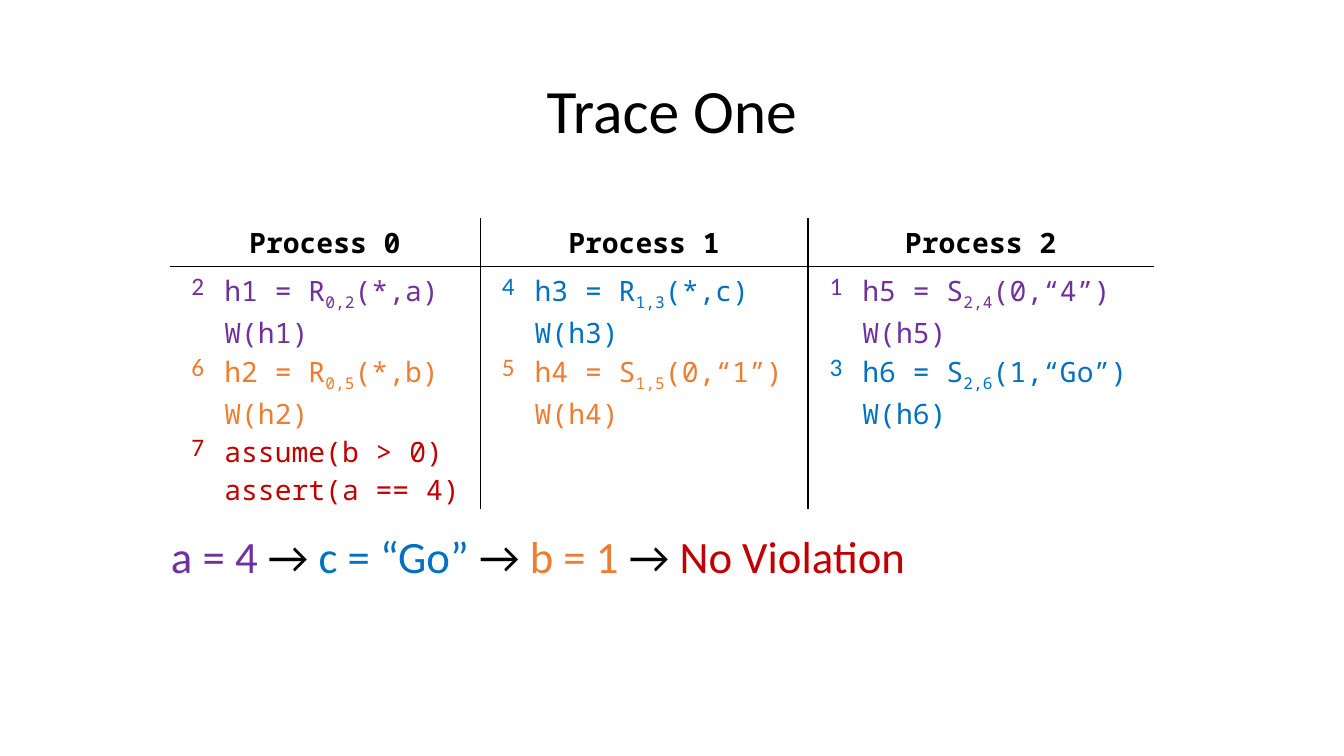
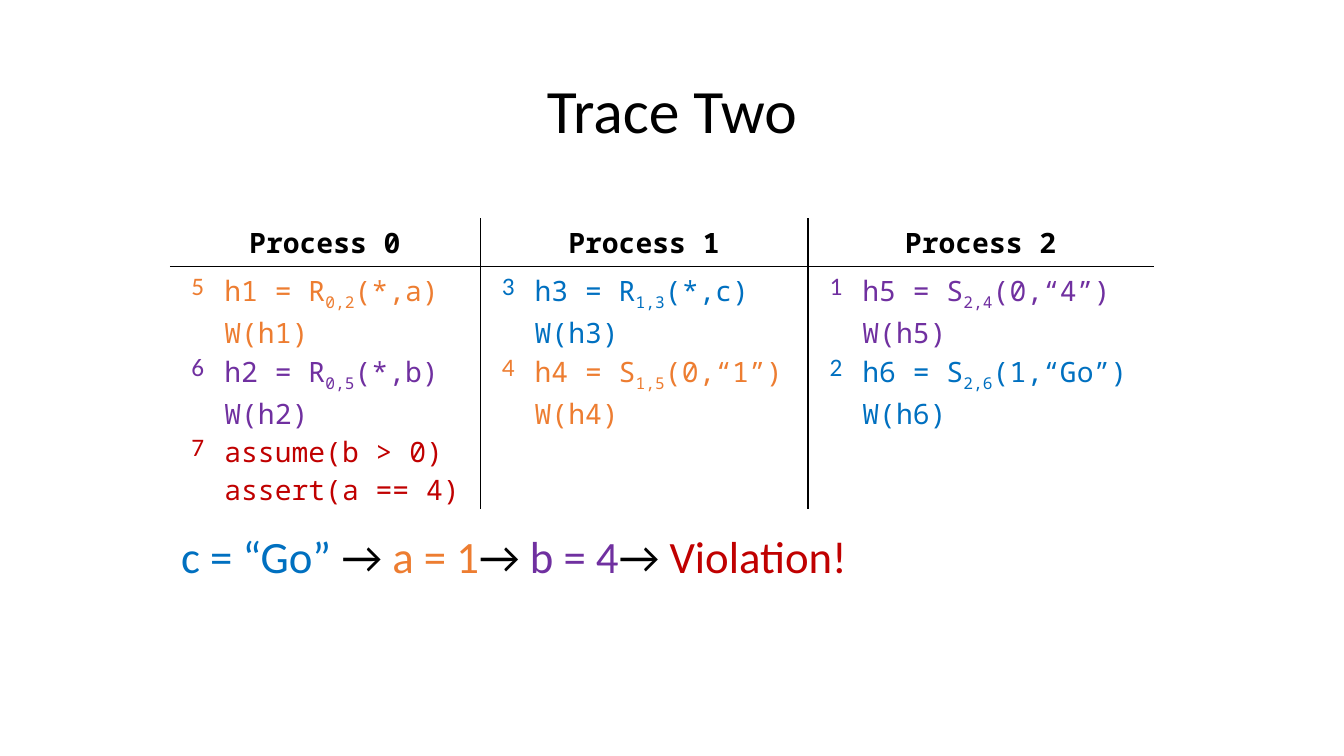
"""Builds two slides that compare message-passing traces of one program."""
from lxml.etree import SubElement
from pptx import Presentation
from pptx.dml.color import RGBColor
from pptx.enum.text import MSO_ANCHOR as Anchor, MSO_AUTO_SIZE as AutoSize, PP_ALIGN as Align
from pptx.oxml.ns import qn
from pptx.util import Cm, Pt

COLORS = {
    "black": "000000",
    "white": "FFFFFF",
    "purple": "7030A0",
    "blue": "0070C0",
    "orange": "ED7D31",
    "red": "C00000",
}
SANS, MONO = "Calibri", "Noto Sans Mono"
NO_STYLE = "{2D5ABB26-0587-4C30-8999-92F81FD0307C}"
BORDER_WIDTH = Pt(1)
INSET = 0.13

NUMBER_WIDTH = 1.12
CODE_WIDTHS = [6.7, 7.14, 7.59]
ROW_HEIGHTS = [1.22, 2.16, 2.01, 1.94]

PROGRAM = [
    [
        [["h1 = R", "0,2", "(*,a)"], ["W(h1)"]],
        [["h2 = R", "0,5", "(*,b)"], ["W(h2)"]],
        [["assume(b > 0)"], ["assert(a == 4)"]],
    ],
    [
        [["h3 = R", "1,3", "(*,c)"], ["W(h3)"]],
        [["h4 = S", "1,5", "(0,“1”)"], ["W(h4)"]],
    ],
    [
        [["h5 = S", "2,4", "(0,“4”)"], ["W(h5)"]],
        [["h6 = S", "2,6", "(1,“Go”)"], ["W(h6)"]],
    ],
]

TRACES = [
    {
        "title": "Trace One",
        "order": [
            [("2", "purple"), ("6", "orange"), ("7", "red")],
            [("4", "blue"), ("5", "orange")],
            [("1", "purple"), ("3", "blue")],
        ],
        "outcome": [
            ("a = 4", "purple"), (" → ", "black"), ("c = “Go”", "blue"), (" → ", "black"),
            ("b = 1", "orange"), (" → ", "black"), ("No Violation", "red"),
        ],
        "outcome_width": 19.74,
    },
    {
        "title": "Trace Two",
        "order": [
            [("5", "orange"), ("6", "purple"), ("7", "red")],
            [("3", "blue"), ("4", "orange")],
            [("1", "purple"), ("2", "blue")],
        ],
        "outcome": [
            (" c = “Go”", "blue"), (" → ", "black"), ("a = 1", "orange"), ("→ ", "black"),
            ("b = 4", "purple"), ("→ ", "black"), ("Violation!", "red"),
        ],
        "outcome_width": 18.49,
    },
]


def add_span(para, text, size, font, color, bold=False, subscript=False):
    span = para.add_run()
    span.text = text
    span.font.size = Pt(size)
    span.font.name = font
    span.font.bold = bold
    span.font.color.rgb = RGBColor.from_string(COLORS[color])
    if subscript:
        span._r.get_or_add_rPr().set("baseline", "-25000")


def add_title(page, text):
    box = page.shapes.add_textbox(Cm(2.33), Cm(1.02), Cm(29.21), Cm(3.68))
    frame = box.text_frame
    frame.word_wrap = True
    frame.vertical_anchor = Anchor.MIDDLE
    para = frame.paragraphs[0]
    para.alignment = Align.CENTER
    para.line_spacing = 0.9
    add_span(para, text, 44, SANS, "black")


def add_outcome(page, parts, width):
    box = page.shapes.add_textbox(Cm(4.06), Cm(13.21), Cm(width), Cm(1.63))
    frame = box.text_frame
    frame.word_wrap = False
    frame.auto_size = AutoSize.SHAPE_TO_FIT_TEXT
    for text, color in parts:
        add_span(frame.paragraphs[0], text, 32, SANS, color)


def add_border(cell, side, shown):
    line = SubElement(cell._tc.get_or_add_tcPr(), qn(f"a:ln{side}"), w=str(BORDER_WIDTH))
    if shown:
        fill = SubElement(line, qn("a:solidFill"))
        SubElement(fill, qn("a:srgbClr"), val=COLORS["black"])
    else:
        SubElement(line, qn("a:noFill"))


def format_cell(cell, row, column):
    process, is_code = divmod(column, 2)
    sides = {
        "L": process > 0 and not is_code,
        "R": process < len(PROGRAM) - 1 and (is_code or row == 0),
        "T": row == 1,
        "B": row == 0,
    }
    for side, shown in sides.items():
        add_border(cell, side, shown)
    cell.fill.solid()
    cell.fill.fore_color.rgb = RGBColor.from_string(COLORS["white"])
    cell.margin_top = Cm(INSET if row < 2 else 0)
    cell.margin_bottom = Cm(INSET if row == 0 else 0)


def write_header(table, process):
    cell = table.cell(0, 2 * process)
    cell.merge(table.cell(0, 2 * process + 1))
    para = cell.text_frame.paragraphs[0]
    para.alignment = Align.CENTER
    add_span(para, f"Process {process}", 20, MONO, "black", bold=True)


def write_step(table, row, process, number, color, lines):
    para = table.cell(row, 2 * process).text_frame.paragraphs[0]
    para.alignment = Align.RIGHT
    add_span(para, number, 18, SANS, color)
    frame = table.cell(row, 2 * process + 1).text_frame
    for index, parts in enumerate(lines):
        para = frame.add_paragraph() if index else frame.paragraphs[0]
        for position, text in enumerate(parts):
            add_span(para, text, 20, MONO, color, subscript=position == 1)


def add_trace_table(page, order):
    widths = [width for code in CODE_WIDTHS for width in (NUMBER_WIDTH, code)]
    holder = page.shapes.add_table(
        len(ROW_HEIGHTS), len(widths), Cm(4.28), Cm(5.5), Cm(sum(widths)), Cm(sum(ROW_HEIGHTS))
    )
    table = holder.table
    table.first_row = table.horz_banding = False
    table._tbl.tblPr.find(qn("a:tableStyleId")).text = NO_STYLE
    for column, width in zip(table.columns, widths):
        column.width = Cm(width)
    for row, height in zip(table.rows, ROW_HEIGHTS):
        row.height = Cm(height)
    for row in range(len(ROW_HEIGHTS)):
        for column in range(len(widths)):
            format_cell(table.cell(row, column), row, column)
    for process, (steps, marks) in enumerate(zip(PROGRAM, order)):
        write_header(table, process)
        for row, (lines, (number, color)) in enumerate(zip(steps, marks), start=1):
            write_step(table, row, process, number, color, lines)


def main():
    deck = Presentation()
    deck.slide_width, deck.slide_height = Cm(33.87), Cm(19.05)
    for trace in TRACES:
        page = deck.slides.add_slide(deck.slide_layouts[6])
        add_title(page, trace["title"])
        add_trace_table(page, trace["order"])
        add_outcome(page, trace["outcome"], trace["outcome_width"])
    deck.save("out.pptx")


if __name__ == "__main__":
    main()
